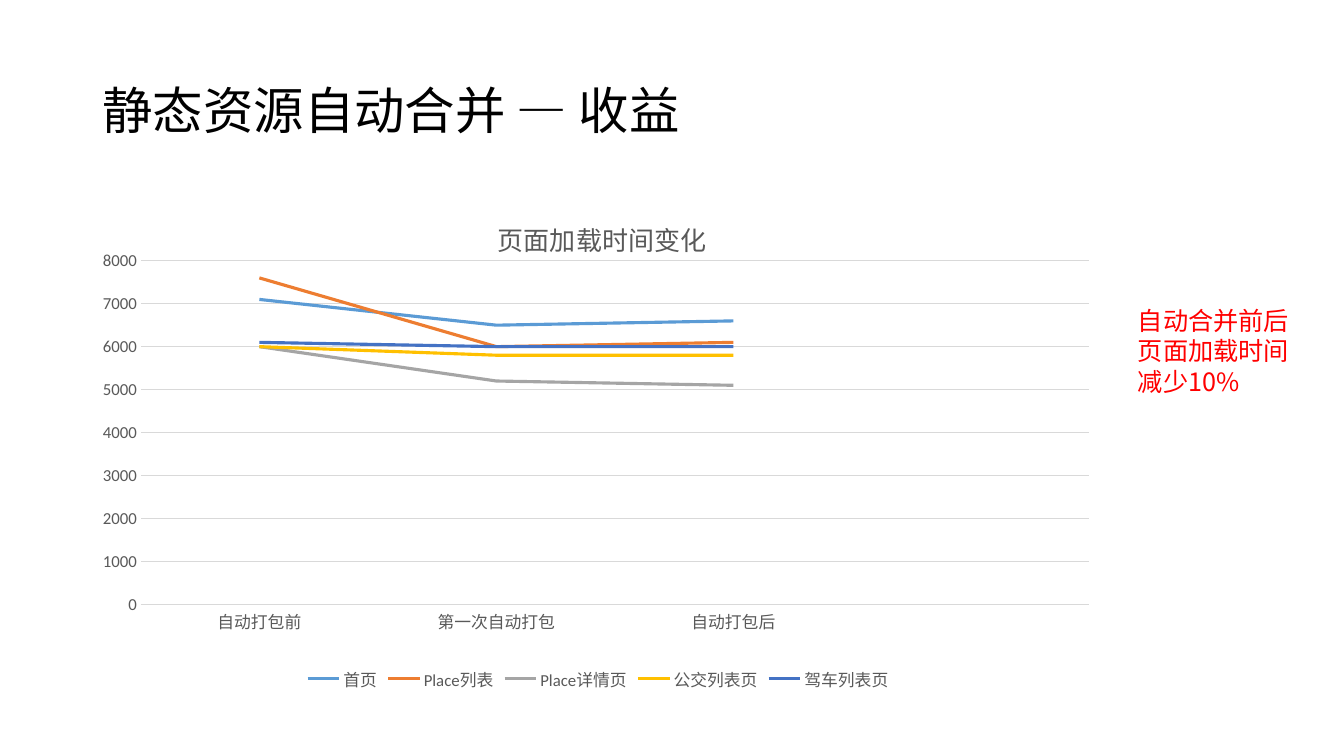
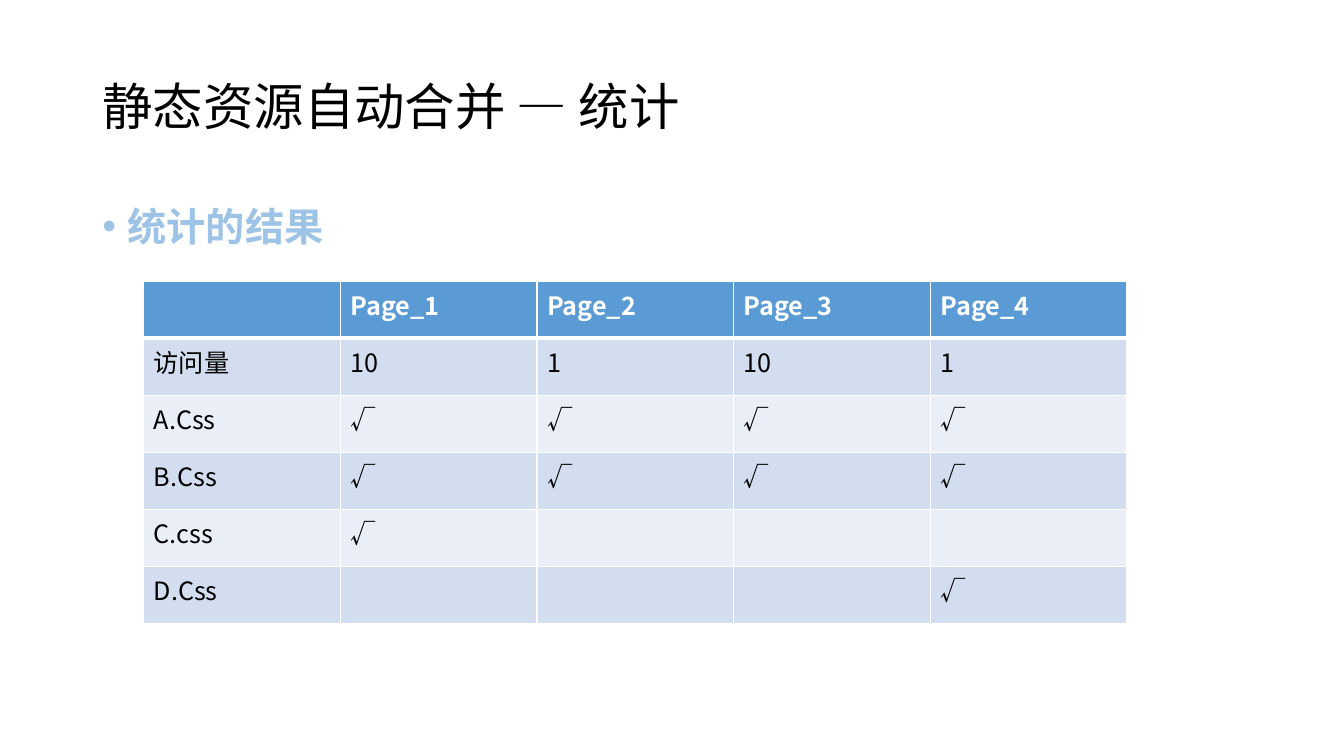
from pptx import Presentation
from pptx import util as u
from pptx.chart.data import CategoryChartData
from pptx.dml.color import RGBColor
from pptx.enum import chart as charts, text
from pptx.oxml import parse_xml
from pptx.oxml.ns import nsdecls, qn

# Content
GAINS = {
    "title": "静态资源自动合并 — 收益",
    "chart_title": "页面加载时间变化",
    "categories": ["自动打包前", "第一次自动打包", "自动打包后", ""],
    "series": [
        ("首页", (7100, 6500, 6600, None)),
        ("Place列表", (7600, 6000, 6100, None)),
        ("Place详情页", (6000, 5200, 5100, None)),
        ("公交列表页", (6000, 5800, 5800, None)),
        ("驾车列表页", (6100, 6000, 6000, None)),
    ],
    "note": "自动合并前后页面加载时间减少10%",
}
CHECK = "√"
STATISTICS = {
    "title": "静态资源自动合并 — 统计",
    "bullet": "统计的结果",
    "rows": [
        ("", "Page_1", "Page_2", "Page_3", "Page_4"),
        ("访问量", "10", "1", "10", "1"),
        ("A.Css", CHECK, CHECK, CHECK, CHECK),
        ("B.Css", CHECK, CHECK, CHECK, CHECK),
        ("C.css", CHECK, "", "", ""),
        ("D.Css", "", "", "", CHECK),
    ],
}


# Theme
class Theme:
    text_font, chart_font = "Noto Sans CJK SC", "Calibri"
    black, white, red, light_blue = "000000", "FFFFFF", "FF0000", "9DC3E6"
    gray, rule = "595959", "D9D9D9"
    header, bands = "5B9BD5", ("D2DEEF", "EAEFF7")
    series = ("5B9BD5", "ED7D31", "A5A5A5", "FFC000", "4472C4")
    title_size, bullet_size, text_size = 36, 28, 18
    chart_title_size, chart_size = 18.6, 12


# Places: left, top, width, height in points
TITLE_TOPS = {"gains": 28.8, "statistics": 26}
MARGIN, CONTENT_WIDTH, TITLE_HEIGHT = 66, 828, 104.4
CHART_BOX = (51, 133.2, 752.4, 363.6)
NOTE_BOX = (805.7, 214.6, 136, 94.3)
BODY_BOX = (MARGIN, 144.7, CONTENT_WIDTH, 342.7)
TABLE_BOX = (102.6, 201, 702.5, 244.2)


# Shared helpers
def points(values):
    return [u.Pt(value) for value in values]


def apply(target, **values):
    for name, value in values.items():
        setattr(target, name, value)


def style_font(font, name, size, color, bold=False):
    apply(font, name=name, size=u.Pt(size), bold=bold)
    font.color.rgb = RGBColor.from_string(color)


def write(paragraph, words, size, color, bold=False, font=Theme.text_font):
    run = paragraph.add_run()
    run.text = words
    style_font(run.font, font, size, color, bold)
    latin = run.font._element.find(qn("a:latin"))
    latin.addnext(parse_xml(f'<a:ea {nsdecls("a")} typeface="{Theme.text_font}"/>'))


def place(shape, box):
    apply(shape, **dict(zip(("left", "top", "width", "height"), points(box))))


def add_slide(layout, title, top):
    slide = presentation.slides.add_slide(presentation.slide_layouts[layout])
    shape = slide.shapes.title
    place(shape, (MARGIN, top, CONTENT_WIDTH, TITLE_HEIGHT))
    shape.text_frame.vertical_anchor = text.MSO_ANCHOR.MIDDLE
    paragraph = shape.text_frame.paragraphs[0]
    apply(paragraph, alignment=text.PP_ALIGN.LEFT, line_spacing=0.9)
    write(paragraph, title, Theme.title_size, Theme.black)
    return slide


def set_layout(element, index, target="", **values):
    old = element.find(qn("c:layout"))
    if old is not None:
        element.remove(old)
    inner = f'<c:layoutTarget val="{target}"/>' if target else ""
    modes = "".join(f'<c:{axis}Mode val="edge"/>' for axis in "xy")
    sizes = "".join(f'<c:{name} val="{value}"/>' for name, value in values.items())
    element.insert(index, parse_xml(
        f'<c:layout {nsdecls("c")}><c:manualLayout>{inner}{modes}{sizes}'
        '</c:manualLayout></c:layout>'))


def draw_line(line, color, width):
    line.color.rgb = RGBColor.from_string(color)
    line.width = u.Pt(width)


def add_border(cell, side, width):
    cell._tc.get_or_add_tcPr().append(parse_xml(
        f'<a:ln{side} {nsdecls("a")} w="{u.Pt(width)}"><a:solidFill>'
        f'<a:srgbClr val="{Theme.white}"/></a:solidFill></a:ln{side}>'))


presentation = Presentation()
apply(presentation, slide_width=u.Pt(960), slide_height=u.Pt(540))

# Gains: line chart
slide = add_slide(5, GAINS["title"], TITLE_TOPS["gains"])
data = CategoryChartData()
data.categories = GAINS["categories"]
for name, values in GAINS["series"]:
    data.add_series(name, values)
chart = slide.shapes.add_chart(
    charts.XL_CHART_TYPE.LINE, *points(CHART_BOX), data).chart
style_font(chart.font, Theme.chart_font, Theme.chart_size, Theme.gray)

chart.has_title = True
write(chart.chart_title.text_frame.paragraphs[0], GAINS["chart_title"],
      Theme.chart_title_size, Theme.gray, font=Theme.chart_font)
set_layout(chart.chart_title._element, 1, x=0.4, y=0.05)
set_layout(chart._chartSpace.chart.plotArea, 0, "inner",
           x=0.066, y=0.146, w=0.9, h=0.675)
chart.has_legend = True
apply(chart.legend, position=charts.XL_LEGEND_POSITION.BOTTOM, include_in_layout=False)
style_font(chart.legend.font, Theme.chart_font, Theme.chart_size, Theme.gray)

for axis in (chart.category_axis, chart.value_axis):
    apply(axis, major_tick_mark=charts.XL_TICK_MARK.NONE,
          minor_tick_mark=charts.XL_TICK_MARK.NONE)
    style_font(axis.tick_labels.font, Theme.chart_font, Theme.chart_size, Theme.gray)
apply(chart.value_axis, minimum_scale=0, maximum_scale=8000, major_unit=1000,
      has_major_gridlines=True)
chart.value_axis.format.line.fill.background()
for line in (chart.category_axis.format.line, chart.value_axis.major_gridlines.format.line):
    draw_line(line, Theme.rule, 0.75)

chart.plots[0].vary_by_categories = False
for series, color in zip(chart.plots[0].series, Theme.series):
    series.smooth = False
    series.marker.style = charts.XL_MARKER_STYLE.NONE
    draw_line(series.format.line, color, 2.25)

# Gains: note beside the chart
note = slide.shapes.add_textbox(*points(NOTE_BOX)).text_frame
note.word_wrap = True
write(note.paragraphs[0], GAINS["note"], Theme.text_size, Theme.red)

# Statistics: bullet
slide = add_slide(1, STATISTICS["title"], TITLE_TOPS["statistics"])
body = slide.placeholders[1]
place(body, BODY_BOX)
paragraph = body.text_frame.paragraphs[0]
apply(paragraph, line_spacing=0.9, space_before=u.Pt(10))
properties = paragraph._p.get_or_add_pPr()
properties.set("marL", str(u.Pt(18)))
properties.set("indent", str(u.Pt(-18)))
write(paragraph, STATISTICS["bullet"], Theme.bullet_size, Theme.light_blue, True)

# Statistics: table
rows = STATISTICS["rows"]
table = slide.shapes.add_table(len(rows), len(rows[0]), *points(TABLE_BOX)).table
table.horz_banding = False
for row_index, row in enumerate(rows):
    is_header = row_index == 0
    fill = Theme.header if is_header else Theme.bands[(row_index - 1) % 2]
    color = Theme.white if is_header else Theme.black
    widths = {"L": 1, "R": 1, "T": 3 if row_index == 1 else 1, "B": 3 if is_header else 1}
    for column_index, words in enumerate(row):
        cell = table.cell(row_index, column_index)
        for side, width in widths.items():
            add_border(cell, side, width)
        cell.fill.solid()
        cell.fill.fore_color.rgb = RGBColor.from_string(fill)
        if words:
            write(cell.text_frame.paragraphs[0], words, Theme.text_size, color, is_header)

presentation.save("out.pptx")
